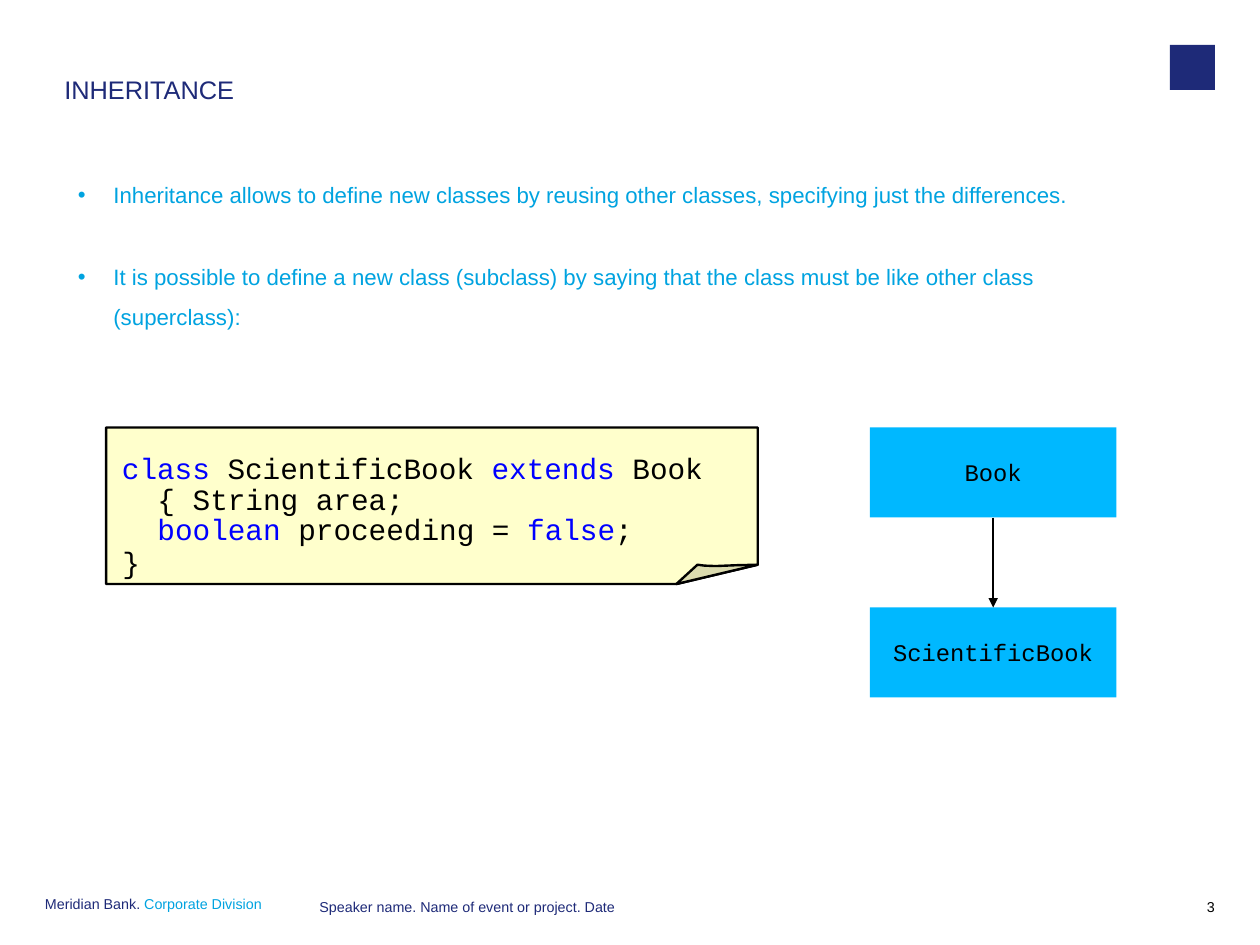
from lxml.etree import SubElement
from pptx import Presentation
from pptx.dml.color import RGBColor
from pptx.enum.shapes import MSO_CONNECTOR, MSO_SHAPE
from pptx.enum.text import MSO_ANCHOR, MSO_AUTO_SIZE, PP_ALIGN
from pptx.oxml.ns import qn
from pptx.util import Cm, Pt

COLOURS = {
    "navy": "1E2A78", "cyan": "00A3E0", "sky": "00B8FF", "black": "000000",
    "keyword": "0000FF", "note": "FFFFCC", "fold": "DBDBAF",
}
BODY_FONT = "Arial"
CODE_FONT = "Courier New"


def colour(name):
    """Return the named colour of the palette."""
    return RGBColor.from_string(COLOURS[name])


class SlideBuilder:
    """Hold the page and the style of its elements."""

    def __init__(self, deck):
        """Add a title-only page to the deck."""
        self.page = deck.slides.add_slide(deck.slide_layouts[5])
        self.shapes = self.page.shapes

    def prepare(self, frame, anchor=MSO_ANCHOR.TOP):
        """Give a text frame wrapping, no margins and an anchor."""
        frame.word_wrap = True
        frame.auto_size = MSO_AUTO_SIZE.NONE
        frame.vertical_anchor = anchor
        frame.margin_left = frame.margin_right = 0
        frame.margin_top = frame.margin_bottom = 0
        return frame

    def set_spans(self, para, spans, size, font=BODY_FONT, align=PP_ALIGN.LEFT, spacing=None):
        """Fill a paragraph with coloured spans; None breaks the line."""
        para.alignment = align
        para.line_spacing = spacing
        para.font.name = font
        para.font.size = Pt(size)
        for item in spans:
            if item is None:
                para.add_line_break()
                continue
            span = para.add_run()
            span.text, name = item
            span.font.color.rgb = colour(name)

    def title(self, text, left, top, width, height):
        """Place and format the title placeholder."""
        box = self.shapes.title
        box.left, box.top, box.width, box.height = map(Cm, (left, top, width, height))
        frame = self.prepare(box.text_frame)
        self.set_spans(frame.paragraphs[0], [(text, "navy")], 16, spacing=0.9)

    def text_box(self, left, top, width, height):
        """Add an empty text box and return its frame."""
        box = self.shapes.add_textbox(*map(Cm, (left, top, width, height)))
        return self.prepare(box.text_frame)

    def footer(self, spans, left, top, width, align=PP_ALIGN.LEFT):
        """Add one line of footer text."""
        frame = self.text_box(left, top, width, 0.5)
        self.set_spans(frame.paragraphs[0], spans, 9, align=align, spacing=Pt(9))

    def bullets(self, texts, left, top, width, height):
        """Add a bulleted list."""
        frame = self.text_box(left, top, width, height)
        for index, text in enumerate(texts):
            para = frame.add_paragraph() if index else frame.paragraphs[0]
            properties = para._p.get_or_add_pPr()
            properties.set("marL", str(Cm(0.84)))
            properties.set("indent", str(-Cm(0.79)))
            SubElement(properties, qn("a:buFont"), typeface=BODY_FONT)
            SubElement(properties, qn("a:buChar"), char="•")
            self.set_spans(para, [(text, "cyan")], 14, spacing=1.5)
            if index:
                para.space_before = Pt(26.5)

    def code(self, lines, left, top, width, height):
        """Add code from rows of left margin, first indent, pitch and spans."""
        frame = self.text_box(left, top, width, height)
        for index, (margin, indent, pitch, spans) in enumerate(lines):
            para = frame.add_paragraph() if index else frame.paragraphs[0]
            properties = para._p.get_or_add_pPr()
            properties.set("marL", str(Cm(margin)))
            properties.set("indent", str(Cm(indent)))
            self.set_spans(para, spans, 18.5, font=CODE_FONT, spacing=Pt(pitch))

    def outline(self, points, fill):
        """Add a closed outline with a black border."""
        first, *others = [(Cm(x), Cm(y)) for x, y in points]
        builder = self.shapes.build_freeform(*first)
        builder.add_line_segments(others, close=True)
        shape = builder.convert_to_shape()
        shape.shadow.inherit = False
        shape.fill.solid()
        shape.fill.fore_color.rgb = colour(fill)
        shape.line.color.rgb = colour("black")
        shape.line.width = Pt(1.5)

    def block(self, left, top, width, height, fill, label=None):
        """Add a borderless rectangle, with a centred label if given."""
        shape = self.shapes.add_shape(
            MSO_SHAPE.RECTANGLE, *map(Cm, (left, top, width, height)))
        shape.shadow.inherit = False
        shape.fill.solid()
        shape.fill.fore_color.rgb = colour(fill)
        shape.line.fill.background()
        if label:
            frame = self.prepare(shape.text_frame, MSO_ANCHOR.MIDDLE)
            self.set_spans(frame.paragraphs[0], [(label, "black")], 15,
                           font=CODE_FONT, align=PP_ALIGN.CENTER)

    def arrow(self, x, start, end):
        """Add a vertical arrow."""
        connector = self.shapes.add_connector(
            MSO_CONNECTOR.STRAIGHT, *map(Cm, (x, start, x, end)))
        connector.line.color.rgb = colour("black")
        connector.line.width = Pt(1)
        properties = connector._element.spPr
        SubElement(properties.find(qn("a:ln")), qn("a:tailEnd"), type="triangle")
        SubElement(properties, qn("a:effectLst"))


def main():
    """Build the inheritance slide."""
    deck = Presentation()
    deck.slide_width, deck.slide_height = Cm(28), Cm(21)
    slide = SlideBuilder(deck)

    slide.footer([("Meridian Bank. ", "navy"), ("Corporate Division", "cyan")], 1, 19.95, 5.56)
    slide.footer([("Speaker name. Name of event or project. Date", "navy")], 7.1, 20.02, 13.7)
    slide.footer([("3", "black")], 26, 20.02, 1, PP_ALIGN.RIGHT)
    slide.block(26, 1, 1, 1, "navy")
    slide.title("INHERITANCE", 1.43, 1.73, 24.05, 1.55)
    slide.bullets([
        "Inheritance allows to define new classes by reusing other classes, "
        "specifying just the differences.",
        "It is possible to define a new class (subclass) by saying that the class "
        "must be like other class (superclass):",
    ], 1.68, 3.73, 22.86, 3.7)

    left, top, right, bottom = 2.36, 9.5, 16.84, 12.98
    fold_left, fold_top = 15.03, 12.55
    slide.outline([(left, top), (right, top), (right, fold_top),
                   (fold_left, bottom), (left, bottom)], "note")
    slide.outline([(right, fold_top), (16.4, 12.56), (15.9, 12.58), (15.65, 12.57),
                   (15.5, fold_top), (fold_left, bottom)], "fold")
    slide.code([
        (0.81, -0.79, 19.9, [
            ("class ", "keyword"), ("ScientificBook ", "black"),
            ("extends ", "keyword"), ("Book", "black"), None,
            ("{ String area;", "black")]),
        (0.81, 0, 18.4, [
            ("boolean ", "keyword"), ("proceeding = ", "black"),
            ("false", "keyword"), (";", "black")]),
        (0.03, 0, 21.1, [("}", "black")]),
    ], 2.69, 10.08, 13.7, 2.72)

    width, height, pitch = 5.48, 2, 4
    class_left = 19.33
    for row, name in enumerate(["Book", "ScientificBook"]):
        slide.block(class_left, top + row * pitch, width, height, "sky", name)
    slide.arrow(class_left + width / 2, top + height, top + pitch)

    deck.save("out.pptx")


if __name__ == "__main__":
    main()
